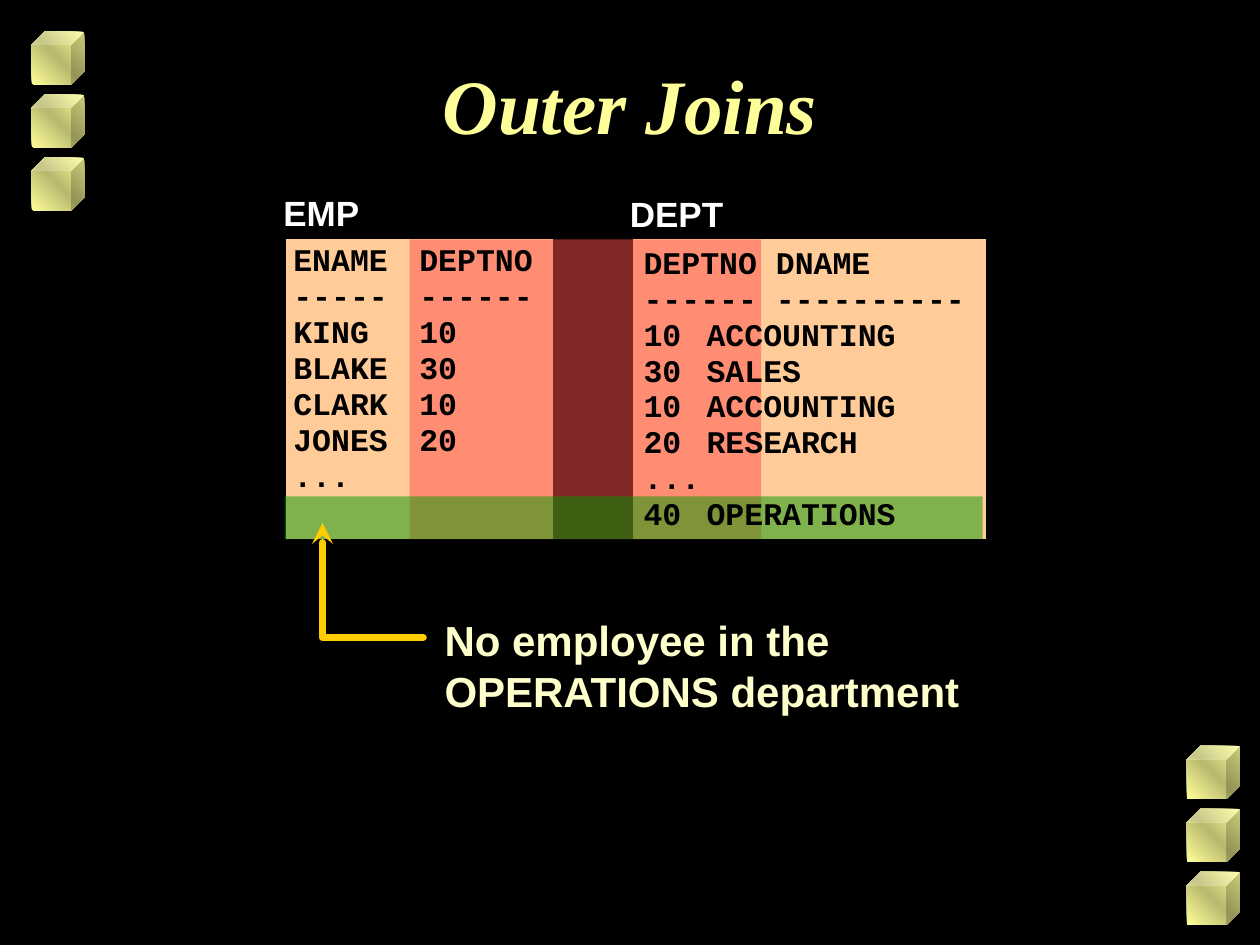
from copy import deepcopy

from pptx import Presentation
from pptx.dml.color import RGBColor
from pptx.enum.shapes import MSO_SHAPE as Preset
from pptx.enum.text import MSO_ANCHOR as Anchor, PP_ALIGN as Align
from pptx.oxml.ns import qn
from pptx.oxml.xmlchemy import OxmlElement
from pptx.util import Inches, Pt

COLORS = {
    "background": "000000",
    "black": "000000",
    "white": "FFFFFF",
    "title": "FFFF99",
    "cube_shade": "B9B96F",
    "table": "FFCC99",
    "join": "FF5050",
    "operations": "009900",
    "note": "FFFFCC",
    "arrow": "FFCC00",
}

EMP_ROWS = ["ENAME\tDEPTNO", "-----\t------", "KING\t10", "BLAKE\t30",
            "CLARK\t10", "JONES\t20", "..."]
DEPT_ROWS = ["DEPTNO DNAME", "------ ----------", "10\tACCOUNTING", "30\tSALES",
             "10\tACCOUNTING", "20\tRESEARCH", "...", "40\tOPERATIONS"]


def color(name):
    return RGBColor.from_string(COLORS[name])


def add_text(slide, lines, left, top, width, height, *, size, color_name,
             font="Arial", italic=False, align=Align.LEFT, spacing=None,
             inset_top=0.05, wrap=True):
    box = slide.shapes.add_textbox(Inches(left), Inches(top),
                                   Inches(width), Inches(height))
    frame = box.text_frame
    frame.word_wrap = wrap
    frame.vertical_anchor = Anchor.TOP
    frame.margin_top = Inches(inset_top)
    frame.text = "\n".join(lines)
    for paragraph in frame.paragraphs:
        paragraph.alignment = align
        if spacing:
            paragraph.line_spacing = spacing
        for run in paragraph.runs:
            run.font.name = font
            run.font.size = Pt(size)
            run.font.bold = True
            run.font.italic = italic
            run.font.color.rgb = color(color_name)


def add_rectangle(slide, left, top, width, height, fill, *, line=None, opacity=None):
    shape = slide.shapes.add_shape(Preset.RECTANGLE, Inches(left), Inches(top),
                                   Inches(width), Inches(height))
    shape.shadow.inherit = False
    shape.fill.solid()
    shape.fill.fore_color.rgb = color(fill)
    if opacity:
        alpha = OxmlElement("a:alpha")
        alpha.set("val", str(opacity * 1000))
        shape._element.spPr.find(".//" + qn("a:srgbClr")).append(alpha)
    if line:
        shape.line.color.rgb = color(line)
        shape.line.width = Pt(2)
    else:
        shape.line.fill.background()


def add_cube(slide, left, top):
    shape = slide.shapes.add_shape(Preset.CUBE, Inches(left), Inches(top),
                                   Inches(0.42), Inches(0.42))
    shape.shadow.inherit = False
    shape.line.fill.background()
    shape.fill.gradient()
    shape.fill.gradient_angle = 45
    # The default gradient has two stops; this one needs a third
    stop_list = shape._element.spPr.find(".//" + qn("a:gsLst"))
    stop_list.append(deepcopy(stop_list[0]))
    stops = zip(shape.fill.gradient_stops, (0, 0.5, 1), ("title", "cube_shade", "title"))
    for stop, position, name in stops:
        stop.position = position
        stop.color.rgb = color(name)


def add_bent_arrow(slide, points):
    (start_x, start_y), *rest = [(Inches(x), Inches(y)) for x, y in points]
    builder = slide.shapes.build_freeform(start_x, start_y)
    builder.add_line_segments(rest, close=False)
    shape = builder.convert_to_shape()
    shape.shadow.inherit = False
    shape.fill.background()
    shape.line.color.rgb = color("arrow")
    shape.line.width = Pt(4)
    line = shape.line._get_or_add_ln()
    line.set("cap", "rnd")
    line.append(OxmlElement("a:round"))
    head = OxmlElement("a:tailEnd")
    head.set("type", "stealth")
    line.append(head)


def main():
    presentation = Presentation()
    presentation.slide_width = Inches(10)
    presentation.slide_height = Inches(7.5)
    slide = presentation.slides.add_slide(presentation.slide_layouts[6])
    slide.background.fill.solid()
    slide.background.fill.fore_color.rgb = color("background")

    # Corner cubes
    for left, first_top in ((0.25, 0.25), (9.42, 5.92)):
        for row in range(3):
            add_cube(slide, left, first_top + 0.5 * row)

    # Table panels
    add_rectangle(slide, 2.26, 1.88, 2.14, 2.41, "table", line="black")
    add_rectangle(slide, 5.01, 1.88, 2.83, 2.41, "table", line="black")

    # Title and table names
    add_text(slide, ["Outer Joins"], 0.75, 0.33, 8.5, 1.25, size=44, color_name="title",
             font="Times New Roman", italic=True, align=Align.CENTER, inset_top=0.13)
    add_text(slide, ["EMP"], 2.15, 1.47, 0.88, 0.43, size=20, color_name="white")
    add_text(slide, ["DEPT"], 4.9, 1.48, 1.02, 0.43, size=20, color_name="white")

    # Join columns and the unmatched row
    add_rectangle(slide, 3.25, 1.9, 2.79, 2.38, "join", opacity=50)
    add_rectangle(slide, 2.26, 3.94, 5.54, 0.34, "operations", opacity=50)

    # Note with its arrow
    add_text(slide, ["No employee in the", "OPERATIONS department"],
             3.43, 4.83, 5.1, 0.9, size=24, color_name="note")
    add_bent_arrow(slide, [(3.36, 5.06), (2.56, 5.06), (2.56, 4.15)])

    # Table rows
    row_format = dict(size=18, color_name="black", font="Courier New",
                      spacing=0.95, wrap=False)
    add_text(slide, EMP_ROWS, 2.23, 1.88, 2.17, 2.38, **row_format)
    add_text(slide, DEPT_ROWS, 5.01, 1.9, 2.8, 2.38, **row_format)

    presentation.save("out.pptx")


if __name__ == "__main__":
    main()
